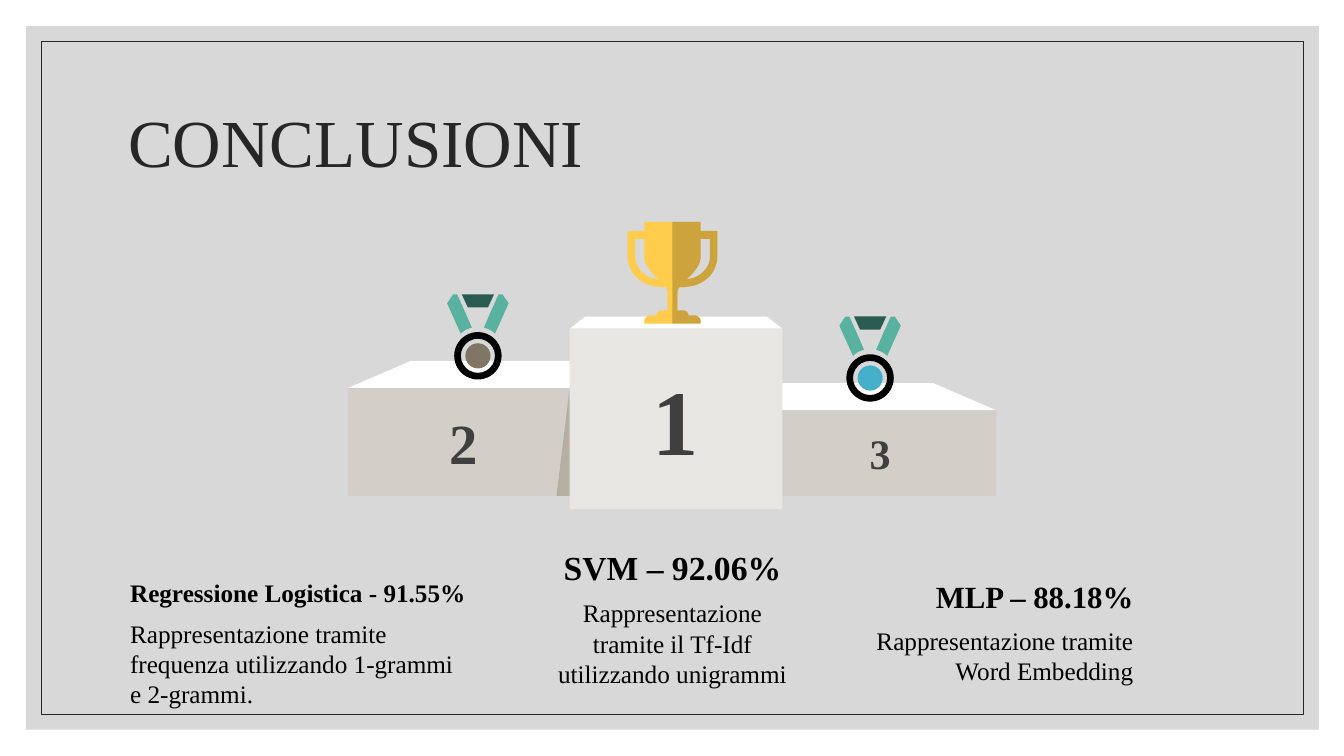
from pptx import Presentation
from pptx.dml.color import RGBColor
from pptx.enum.shapes import MSO_SHAPE
from pptx.enum.text import MSO_ANCHOR, MSO_AUTO_SIZE, PP_ALIGN
from pptx.oxml.ns import qn
from pptx.util import Inches, Pt
from lxml import etree

FONT = "Times New Roman"
BLACK = RGBColor(0x00, 0x00, 0x00)
WHITE = RGBColor(0xFF, 0xFF, 0xFF)
PANEL = RGBColor(0xD8, 0xD8, 0xD8)
DARK = RGBColor(0x26, 0x26, 0x26)
NUMBER = RGBColor(0x3F, 0x3F, 0x3F)
SIDE_STEP = RGBColor(0xD3, 0xCF, 0xC8)
TOP_STEP = RGBColor(0xE8, 0xE6, 0xE2)
STEP_SHADE = RGBColor(0xB5, 0xAE, 0xA2)
RIBBON = RGBColor(0x59, 0xB2, 0x9F)
KNOT = RGBColor(0x2A, 0x5B, 0x50)
SECOND = RGBColor(0x7F, 0x76, 0x65)
THIRD = RGBColor(0x46, 0xB0, 0xCB)
GOLD = RGBColor(0xFF, 0xCC, 0x4C)

# Right half of the cup, measured from its top centre.
# Two numbers end a straight line, six describe a cubic curve.
CUP_HALF = [
    (0, 0), (0.28, 0), (0.28, 0.09), (0.445, 0.09), (0.445, 0.36),
    (0.445, 0.37, 0.44, 0.46, 0.37, 0.54), (0.3, 0.61, 0.22, 0.65, 0.07, 0.65),
    (0.05, 0.67, 0.05, 0.69, 0.05, 0.72), (0.05, 0.88), (0.11, 0.88),
    (0.14, 0.88, 0.16, 0.91, 0.16, 0.93), (0.23, 0.93),
    (0.25, 0.93, 0.28, 0.96, 0.28, 0.98), (0.28, 1.01), (0, 1.01),
]
CUP_HANDLE = [
    (0.28, 0.17), (0.37, 0.17), (0.37, 0.36),
    (0.37, 0.37, 0.37, 0.43, 0.31, 0.49), (0.27, 0.53, 0.23, 0.56, 0.14, 0.57),
    (0.16, 0.55, 0.19, 0.53, 0.21, 0.5), (0.24, 0.46, 0.28, 0.42, 0.28, 0.34),
]
RIBBON_RIGHT = [
    (0.06, -0.28), (0.1, -0.27, 0.14, -0.25, 0.17, -0.22), (0.305, -0.52),
    (0.245, -0.61), (0.205, -0.61), (0.12, -0.42),
]
RIBBON_KNOT = [(-0.16, -0.61), (0.16, -0.61), (0.1, -0.48), (-0.1, -0.48)]

# Heading, description, alignment, left, top, width, heading size and height
RESULTS = [
    ("MLP – 88.18%", "Rappresentazione tramite Word Embedding",
     PP_ALIGN.RIGHT, 8.52, 5.68, 2.72, 22, 0.47),
    ("Regressione Logistica - 91.55%",
     "Rappresentazione tramite frequenza utilizzando 1-grammi e 2-grammi.",
     PP_ALIGN.LEFT, 1.29, 5.68, 3.38, 18, 0.4),
    ("SVM – 92.06%", "Rappresentazione tramite il Tf-Idf utilizzando unigrammi",
     PP_ALIGN.CENTER, 5.47, 5.38, 2.4, 24, 0.5),
]


def set_format(target, **values):
    for name, value in values.items():
        setattr(target, name, value)


def write(shape, text, size, color, align, anchor, bold=False, inset=0.1):
    frame = shape.text_frame
    set_format(frame, text=text, word_wrap=True, auto_size=MSO_AUTO_SIZE.NONE,
               vertical_anchor=anchor, margin_left=Inches(inset),
               margin_right=Inches(inset), margin_top=Inches(0.05),
               margin_bottom=Inches(0.05))
    paragraph = frame.paragraphs[0]
    paragraph.alignment = align
    font = paragraph.runs[0].font
    set_format(font, name=FONT, size=Pt(size), bold=bold)
    font.color.rgb = color
    return paragraph


def paint(shape, color):
    shape.shadow.inherit = False
    shape.fill.solid()
    shape.fill.fore_color.rgb = color
    shape.line.fill.background()


def add_preset(slide, kind, box, color, adjustment=None):
    shape = slide.shapes.add_shape(kind, *map(Inches, box))
    if adjustment is not None:
        shape.adjustments[0] = adjustment
    paint(shape, color)
    return shape


def flatten(outline, steps=8):
    """Turn the curves of an outline into short straight lines."""
    points = []
    for item in outline:
        if len(item) == 2:
            points.append(item)
            continue
        controls = [points[-1], item[0:2], item[2:4], item[4:6]]
        for step in range(1, steps + 1):
            t = step / steps
            weights = [(1 - t) ** 3, 3 * t * (1 - t) ** 2, 3 * t * t * (1 - t), t ** 3]
            points.append(tuple(sum(w * c[axis] for w, c in zip(weights, controls))
                                for axis in (0, 1)))
    return points


def mirror(points):
    return [(-x, y) for x, y in reversed(points)]


def add_outline(slide, contours, left, top, color):
    placed = [[(Inches(left + x), Inches(top + y)) for x, y in contour]
              for contour in contours]
    builder = slide.shapes.build_freeform(*placed[0][0], scale=1.0)
    builder.add_line_segments(placed[0][1:], close=True)
    for contour in placed[1:]:
        builder.move_to(*contour[0])
        builder.add_line_segments(contour[1:], close=True)
    shape = builder.convert_to_shape()
    paint(shape, color)
    return shape


def add_frame(slide):
    add_preset(slide, MSO_SHAPE.RECTANGLE, (0.26, 0.26, 12.82, 6.98), PANEL)
    border = add_preset(slide, MSO_SHAPE.RECTANGLE, (0.41, 0.41, 12.52, 6.68), PANEL)
    border.fill.background()
    border.line.color.rgb = DARK
    border.line.width = Pt(0.75)


def add_title(slide, text):
    title = slide.shapes.title
    set_format(title, left=Inches(1.17), top=Inches(0.7),
               width=Inches(11), height=Inches(1.5))
    paragraph = write(title, text, 48, DARK, PP_ALIGN.LEFT, MSO_ANCHOR.MIDDLE)
    paragraph.line_spacing = 0.9
    title.element.getparent().append(title.element)  # in front of the frame


def add_step(slide, number, size, box, color):
    step = add_preset(slide, MSO_SHAPE.RECTANGLE, box, color)
    write(step, number, size, NUMBER, PP_ALIGN.CENTER, MSO_ANCHOR.MIDDLE, bold=True)


def add_podium(slide):
    for left, top in ((3.45, 3.58), (6.77, 3.8)):
        add_preset(slide, MSO_SHAPE.TRAPEZOID, (left, top, 3.11, 0.27), WHITE, 2.32)
    add_step(slide, "2", 40.5, (3.45, 3.85, 2.3, 1.07), SIDE_STEP)
    add_step(slide, "3", 30, (7.58, 4.07, 2.3, 0.85), SIDE_STEP)
    add_preset(slide, MSO_SHAPE.TRAPEZOID, (5.65, 3.14, 2.11, 0.12), WHITE, 1.29)
    shade = add_preset(slide, MSO_SHAPE.RIGHT_TRIANGLE, (5.52, 3.85, 0.13, 1.07), STEP_SHADE)
    shade.element.spPr.get_or_add_xfrm().set("flipH", "1")
    add_step(slide, "1", 66, (5.65, 3.26, 2.11, 1.79), TOP_STEP)


def add_medal(slide, center_x, center_y, color):
    for kind, size, fill, ring in ((MSO_SHAPE.OVAL, 0.25, color, None),
                                   (MSO_SHAPE.DONUT, 0.47, BLACK, 0.14)):
        box = (center_x - size / 2, center_y - size / 2, size, size)
        add_preset(slide, kind, box, fill, ring)
    ribbon = flatten(RIBBON_RIGHT)
    for points, fill in ((ribbon, RIBBON), (mirror(ribbon), RIBBON), (RIBBON_KNOT, KNOT)):
        add_outline(slide, [points], center_x, center_y, fill)


def add_trophy(slide, center_x, top):
    half, handle = flatten(CUP_HALF), flatten(CUP_HANDLE)
    cup = half + mirror(half)[1:-1]
    add_outline(slide, [cup, handle, mirror(handle)], center_x, top, GOLD)
    shade = add_outline(slide, [half, handle], center_x, top, BLACK)
    color = shade.element.spPr.find(qn("a:solidFill"))[0]
    etree.SubElement(color, qn("a:alpha")).set("val", "20000")


def add_text(slide, box, *content, **options):
    text_box = slide.shapes.add_textbox(*map(Inches, box))
    write(text_box, *content, inset=0, **options)


def add_result(slide, heading, description, align, left, top, width, size, height):
    add_text(slide, (left, top, width, height), heading, size, BLACK, align,
             MSO_ANCHOR.BOTTOM, bold=True)
    add_text(slide, (left, top + height, width, 1.01), description, 18, BLACK,
             align, MSO_ANCHOR.TOP)


def main():
    presentation = Presentation()
    set_format(presentation, slide_width=Inches(13.33), slide_height=Inches(7.5))
    slide = presentation.slides.add_slide(presentation.slide_layouts[5])
    add_frame(slide)
    add_title(slide, "CONCLUSIONI")
    add_podium(slide)
    add_medal(slide, 4.74, 3.53, SECOND)
    add_medal(slide, 8.63, 3.75, THIRD)
    add_trophy(slide, 6.67, 2.2)
    for result in RESULTS:
        add_result(slide, *result)
    presentation.save("out.pptx")


if __name__ == "__main__":
    main()
